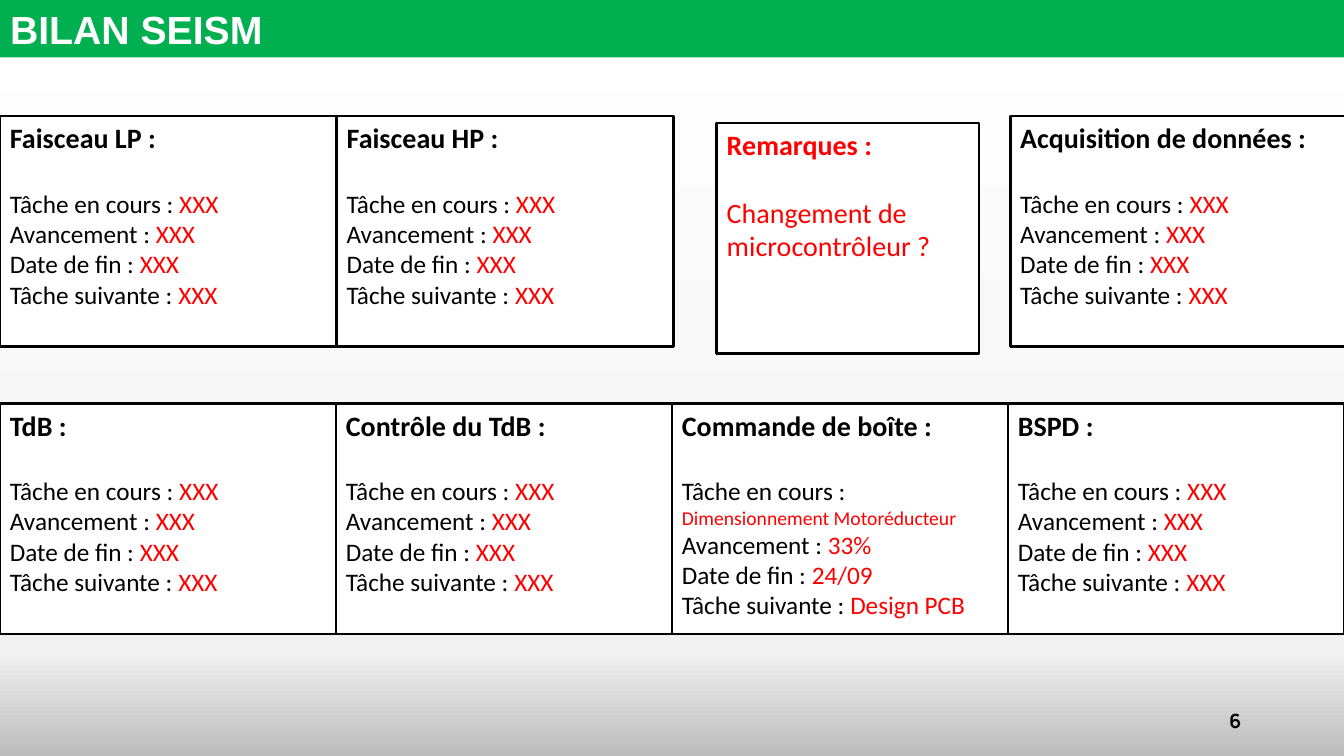
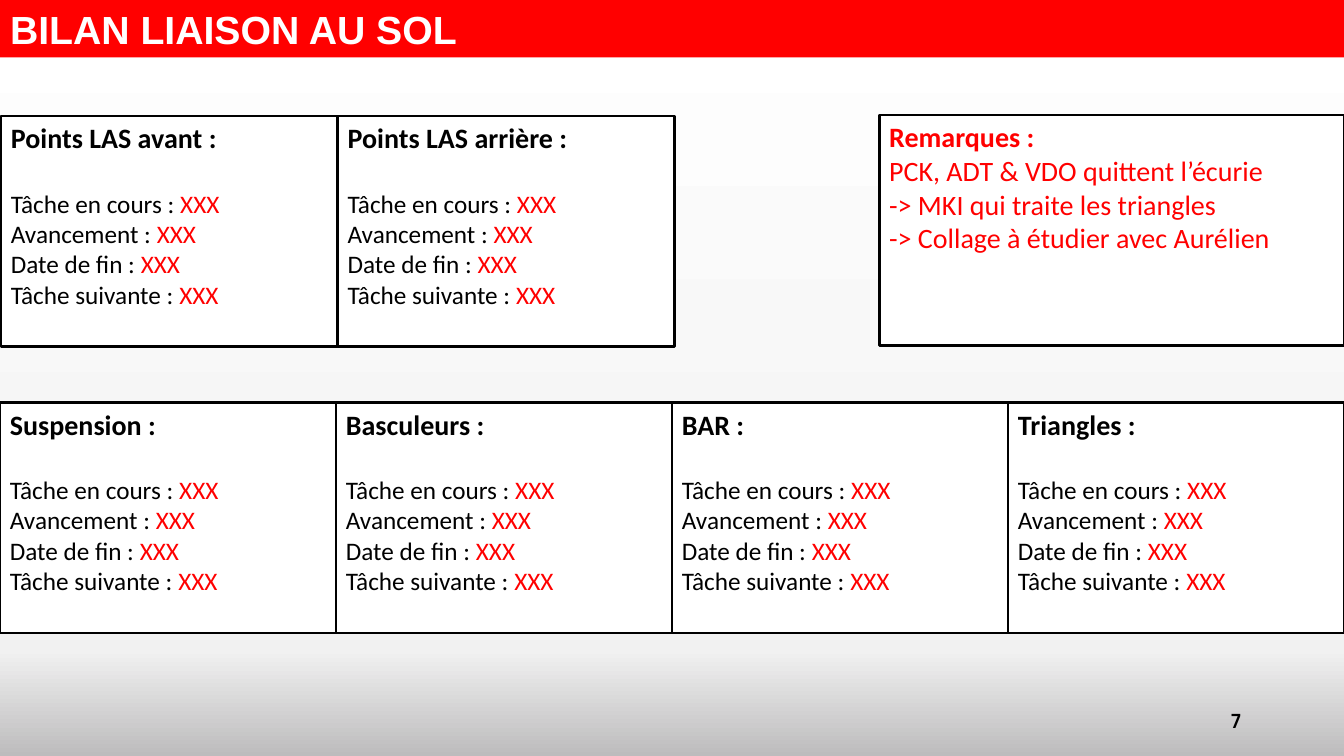
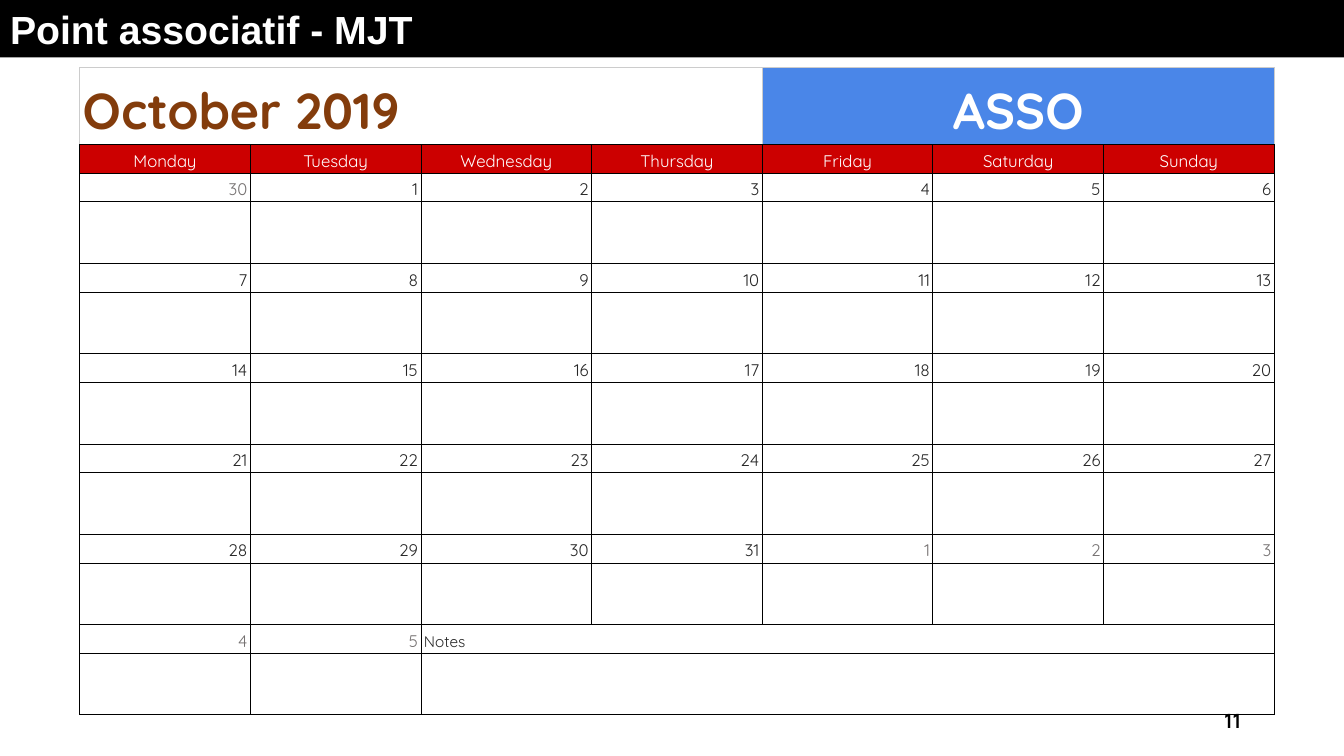
"""Build two progress boards and a monthly calendar."""
from copy import deepcopy

from lxml.etree import SubElement
from pptx import Presentation
from pptx.dml.color import RGBColor
from pptx.enum.shapes import MSO_SHAPE as Shape
from pptx.enum.text import MSO_ANCHOR as Anchor, MSO_AUTO_SIZE as AutoSize, PP_ALIGN as Align
from pptx.oxml.ns import qn
from pptx.util import Inches, Pt

BLACK = RGBColor(0x00, 0x00, 0x00)
WHITE = RGBColor(0xFF, 0xFF, 0xFF)
RED = RGBColor(0xFF, 0x00, 0x00)
GREEN = RGBColor(0x00, 0xB0, 0x50)
PALE_GRAY = RGBColor(0xF1, 0xF1, 0xF1)
MID_GRAY = RGBColor(0xBD, 0xBC, 0xBD)
BROWN = RGBColor(0x83, 0x3C, 0x0C)
BLUE = RGBColor(0x4A, 0x86, 0xE8)
DARK_RED = RGBColor(0xCC, 0x00, 0x00)
INK = RGBColor(0x26, 0x26, 0x26)
MUTED = RGBColor(0x75, 0x71, 0x71)
BORDER_GRAY = RGBColor(0xCC, 0xCC, 0xCC)

SLIDE_WIDTH = 13.33
CARD_WIDTH, CARD_HEIGHT = 3.34, 2.29
TASK_LABELS = ["Tâche en cours : ", "Avancement : ", "Date de fin : ", "Tâche suivante : "]
PENDING = ["XXX"] * 4
GEARBOX = ["Dimensionnement Motoréducteur", "33%", "24/09", "Design PCB"]


def style(paragraph, font_name, size, color, bold=False):
    font = paragraph.font
    font.name, font.size, font.bold = font_name, Pt(size), bold
    font.color.rgb = color


def add_panel(page, left, top, width, heading, color):
    panel = page.shapes.add_shape(
        Shape.RECTANGLE, Inches(left), Inches(top), Inches(width), Inches(CARD_HEIGHT))
    panel.shadow.inherit = False
    panel.fill.solid()
    panel.fill.fore_color.rgb = WHITE
    panel.line.color.rgb = BLACK
    panel.line.width = Pt(2)
    frame = panel.text_frame
    frame.word_wrap = True
    frame.vertical_anchor = Anchor.TOP
    para = frame.paragraphs[0]
    para.text = heading
    para.alignment = Align.LEFT
    style(para, "Calibri", 20, color, True)
    return frame


deck = Presentation()
deck.slide_width, deck.slide_height = Inches(SLIDE_WIDTH), Inches(7.5)
layout = deck.slide_layouts.get_by_name("Title Only")

backdrop = layout.background.fill
backdrop.gradient()
backdrop.gradient_angle = 270
last_stop = backdrop.gradient_stops[1]._gs
last_stop.addnext(deepcopy(last_stop))
for stop, (position, color) in zip(
        backdrop.gradient_stops, [(0, WHITE), (0.86, PALE_GRAY), (1, MID_GRAY)]):
    stop.position = position
    stop.color.rgb = color

pages = []
for title, band_color, number in [
        ("BILAN SEISM", GREEN, "6"),
        ("BILAN LIAISON AU SOL", RED, "7"),
        ("Point associatif - MJT", BLACK, "11")]:
    page = deck.slides.add_slide(layout)
    pages.append(page)
    band = page.shapes.title
    band.left, band.top, band.width, band.height = (
        Inches(0), Inches(0), Inches(SLIDE_WIDTH), Inches(0.57))
    band.fill.solid()
    band.fill.fore_color.rgb = band_color
    band.text_frame.text = title
    band.text_frame.auto_size = AutoSize.NONE
    band.text_frame.vertical_anchor = Anchor.TOP
    para = band.text_frame.paragraphs[0]
    para.alignment = Align.LEFT
    style(para, "Arial", 28, WHITE, True)

    box = page.shapes.add_textbox(Inches(9.41), Inches(6.95), Inches(3), Inches(0.4))
    box.text_frame.word_wrap = True
    box.text_frame.vertical_anchor = Anchor.MIDDLE
    para = box.text_frame.paragraphs[0]
    para.text = number
    para.alignment = Align.RIGHT
    style(para, "Manrope", 14, BLACK, True)

seism_page, chassis_page, calendar_page = pages

for page, left, top, pitch, cards in [
        (seism_page, 0, 1.15, 3.34, [
            (0, "Faisceau LP :", PENDING),
            (1, "Faisceau HP :", PENDING),
            (3, "Acquisition de données :", PENDING)]),
        (seism_page, 0, 4, SLIDE_WIDTH / 4, [
            (0, "TdB :", PENDING),
            (1, "Contrôle du TdB :", PENDING),
            (2, "Commande de boîte :", GEARBOX),
            (3, "BSPD :", PENDING)]),
        (chassis_page, 0.01, 1.15, 3.34, [
            (0, "Points LAS avant :", PENDING),
            (1, "Points LAS arrière :", PENDING)]),
        (chassis_page, 0, 3.99, SLIDE_WIDTH / 4, [
            (0, "Suspension :", PENDING),
            (1, "Basculeurs :", PENDING),
            (2, "BAR :", PENDING),
            (3, "Triangles :", PENDING)])]:
    for column, heading, values in cards:
        frame = add_panel(page, left + column * pitch, top, CARD_WIDTH, heading, BLACK)
        for index, (label, value) in enumerate(zip(TASK_LABELS, values)):
            para = frame.add_paragraph()
            para.alignment = Align.LEFT
            para.space_before = Pt(0 if index else 24)
            style(para, "Calibri", 18, BLACK)
            para.add_run().text = label
            span = para.add_run()
            span.text = value
            span.font.color.rgb = RED
            if len(value) > 20:
                span.font.size = Pt(14)

for page, left, top, width, gap, remarks in [
        (seism_page, 7.11, 1.22, 2.6, 24, ["Changement de microcontrôleur ?"]),
        (chassis_page, 8.72, 1.14, 4.61, 0, [
            "PCK, ADT & VDO quittent l’écurie",
            "-> MKI qui traite les triangles",
            "-> Collage à étudier avec Aurélien"])]:
    frame = add_panel(page, left, top, width, "Remarques :", RED)
    for remark in remarks:
        para = frame.add_paragraph()
        para.text = remark
        para.alignment = Align.LEFT
        para.space_before = Pt(gap)
        style(para, "Calibri", 20, RED)

calendar_page.background.fill.solid()
calendar_page.background.fill.fore_color.rgb = WHITE

row_heights = [Pt(height) for height in [55, 20.5] + [20.5, 44] * 6]
table_width = Inches(11.85)
table_frame = calendar_page.shapes.add_table(
    len(row_heights), 7, Inches(0.79), Inches(0.67), table_width, sum(row_heights))
table = table_frame.table
table.first_row = table.horz_banding = False
for column in table.columns:
    column.width = table_width // 7
for row, height in zip(table.rows, row_heights):
    row.height = height

entries = {
    (0, 0): ("October 2019", 36, BROWN, Align.LEFT),
    (0, 4): ("ASSO", 36, WHITE, Align.CENTER),
    (12, 2): ("Notes", 11, INK, Align.LEFT),
}
weekdays = ["Monday", "Tuesday", "Wednesday", "Thursday", "Friday", "Saturday", "Sunday"]
for column, weekday in enumerate(weekdays):
    entries[1, column] = (weekday, 12, WHITE, Align.CENTER)
for index, day in enumerate([30, *range(1, 32), *range(1, 6)]):
    color = INK if 1 <= index <= 31 else MUTED
    entries[2 + index // 7 * 2, index % 7] = (str(day), 12, color, Align.RIGHT)

for row in range(len(row_heights)):
    for column in range(7):
        cell = table.cell(row, column)
        cell.margin_left = cell.margin_right = Inches(0.03)
        cell.margin_top = cell.margin_bottom = Inches(0.02)
        cell.vertical_anchor = Anchor.MIDDLE if (row, column) == (0, 4) else Anchor.BOTTOM
        properties = cell._tc.get_or_add_tcPr()
        for side in ["lnL", "lnR", "lnT", "lnB"]:
            edge = SubElement(properties, qn(f"a:{side}"), w=str(Pt(0.75)))
            edge_fill = SubElement(edge, qn("a:solidFill"))
            edge_color = BORDER_GRAY if row == 0 and side != "lnB" else BLACK
            SubElement(edge_fill, qn("a:srgbClr"), val=str(edge_color))
        if row == 1 or (row == 0 and column >= 4):
            cell.fill.solid()
            cell.fill.fore_color.rgb = DARK_RED if row == 1 else BLUE
        else:
            cell.fill.background()
        text, size, color, alignment = entries.get((row, column), ("", 12, INK, Align.LEFT))
        para = cell.text_frame.paragraphs[0]
        para.text = text
        para.alignment = alignment
        para.line_spacing = 1.15
        style(para, "Quicksand", size, color, size == 36)

for row, first, last in [(0, 0, 3), (0, 4, 6), (12, 2, 6), (13, 2, 6)]:
    table.cell(row, first).merge(table.cell(row, last))

deck.save("out.pptx")
